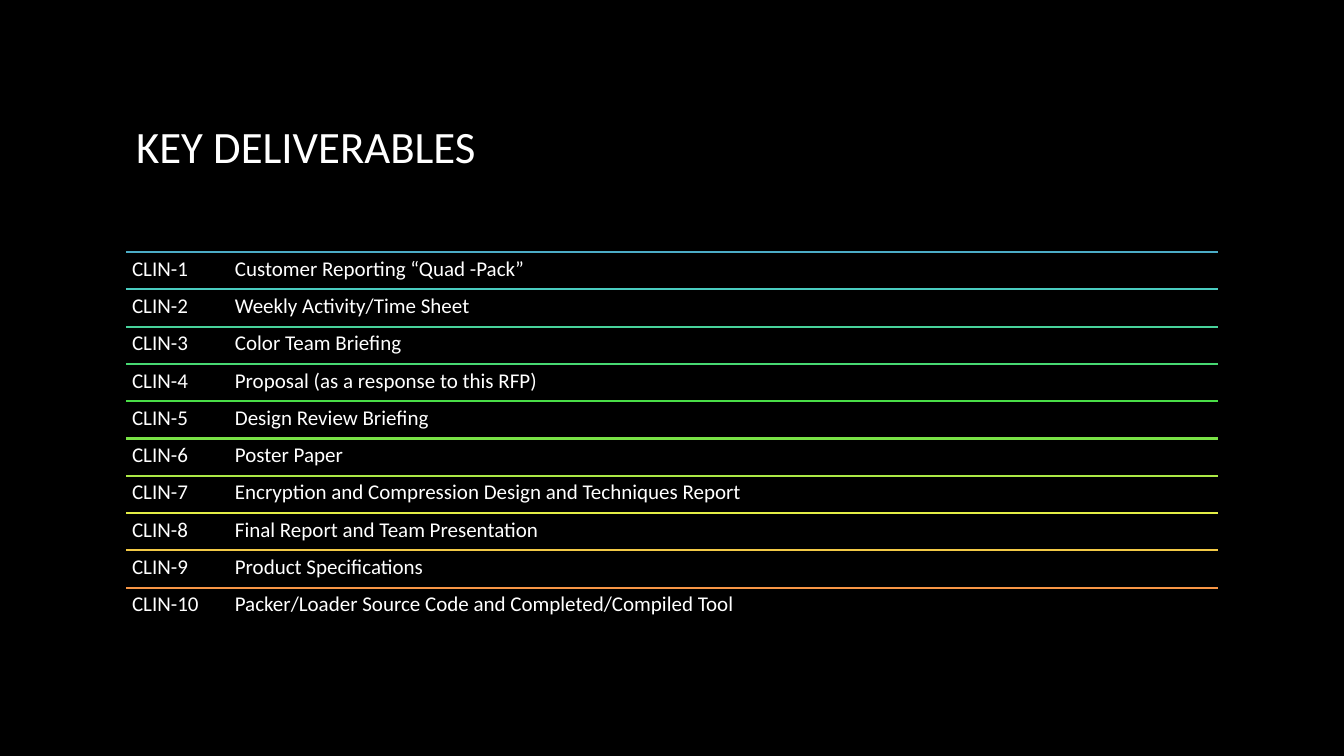
from lxml import etree
from pptx import Presentation
from pptx.dml.color import RGBColor
from pptx.enum.shapes import MSO_CONNECTOR
from pptx.enum.text import MSO_ANCHOR, MSO_AUTO_SIZE, PP_ALIGN
from pptx.oxml.ns import qn
from pptx.util import Inches, Pt

TITLE = "KEY DELIVERABLES"
DELIVERABLES = [
    ("Customer Reporting “Quad -Pack”", RGBColor(0x4B, 0xAC, 0xC6)),
    ("Weekly Activity/Time Sheet", RGBColor(0x4A, 0xCC, 0xC0)),
    ("Color Team Briefing", RGBColor(0x48, 0xD2, 0x9B)),
    ("Proposal (as a response to this RFP)", RGBColor(0x47, 0xD8, 0x72)),
    ("Design Review Briefing", RGBColor(0x49, 0xDE, 0x47)),
    ("Poster Paper", RGBColor(0x79, 0xE3, 0x46)),
    ("Encryption and Compression Design and Techniques Report", RGBColor(0xAC, 0xE9, 0x46)),
    ("Final Report and Team Presentation", RGBColor(0xE3, 0xEE, 0x46)),
    ("Product Specifications", RGBColor(0xF2, 0xC9, 0x46)),
    ("Packer/Loader Source Code and Completed/Compiled Tool", RGBColor(0xF7, 0x96, 0x46)),
]

BLACK = RGBColor(0, 0, 0)
WHITE = RGBColor(255, 255, 255)
FONT = "Calibri"
STRAIGHT = MSO_CONNECTOR.STRAIGHT
MIDDLE, TOP = MSO_ANCHOR.MIDDLE, MSO_ANCHOR.TOP
LEFT_ALIGN = PP_ALIGN.LEFT
NO_AUTOFIT = MSO_AUTO_SIZE.NONE
TITLE_ONLY = 5

SLIDE_WIDTH, SLIDE_HEIGHT = Inches(13.33), Inches(7.5)
MARGIN = Inches(1.25)
CONTENT_WIDTH = SLIDE_WIDTH - 2 * MARGIN
TITLE_TOP, TITLE_HEIGHT = Inches(0.67), Inches(1.61)
LIST_TOP = SLIDE_HEIGHT // 3
ROW_HEIGHT = Inches(0.37)
ROW_INSET = Inches(0.06)
NAME_TAB = Inches(1.02)


def write(paragraph, text, size):
    paragraph.alignment = LEFT_ALIGN
    paragraph.line_spacing = 0.9
    run = paragraph.add_run()
    run.text = text
    run.font.name = FONT
    run.font.size = Pt(size)
    run.font.color.rgb = WHITE


def set_frame(frame, anchor):
    frame.word_wrap = True
    frame.auto_size = NO_AUTOFIT
    frame.vertical_anchor = anchor


def add_title(slide):
    title = slide.shapes.title
    title.left, title.top = MARGIN, TITLE_TOP
    title.width, title.height = CONTENT_WIDTH, TITLE_HEIGHT
    set_frame(title.text_frame, MIDDLE)
    write(title.text_frame.paragraphs[0], TITLE, 32)


def add_rule(slide, top, color):
    rule = slide.shapes.add_connector(STRAIGHT, MARGIN, top, MARGIN + CONTENT_WIDTH, top)
    rule.line.color.rgb = color
    rule.line.width = Pt(1.5)
    etree.SubElement(rule._element.spPr, qn("a:effectLst"))


def add_row(slide, top, number, name):
    box = slide.shapes.add_textbox(MARGIN, top, CONTENT_WIDTH, ROW_HEIGHT)
    frame = box.text_frame
    set_frame(frame, TOP)
    frame.margin_left = frame.margin_right = ROW_INSET
    frame.margin_top = frame.margin_bottom = ROW_INSET
    paragraph = frame.paragraphs[0]
    write(paragraph, f"CLIN-{number}\t{name}", 15)
    tabs = etree.SubElement(paragraph._p.get_or_add_pPr(), qn("a:tabLst"))
    etree.SubElement(tabs, qn("a:tab"), pos=str(NAME_TAB), algn="l")


def main():
    presentation = Presentation()
    presentation.slide_width = SLIDE_WIDTH
    presentation.slide_height = SLIDE_HEIGHT
    slide = presentation.slides.add_slide(presentation.slide_layouts[TITLE_ONLY])
    slide.background.fill.solid()
    slide.background.fill.fore_color.rgb = BLACK
    add_title(slide)
    for index, (name, color) in enumerate(DELIVERABLES):
        top = LIST_TOP + index * ROW_HEIGHT
        add_rule(slide, top, color)
        add_row(slide, top, index + 1, name)
    presentation.save("out.pptx")


if __name__ == "__main__":
    main()
